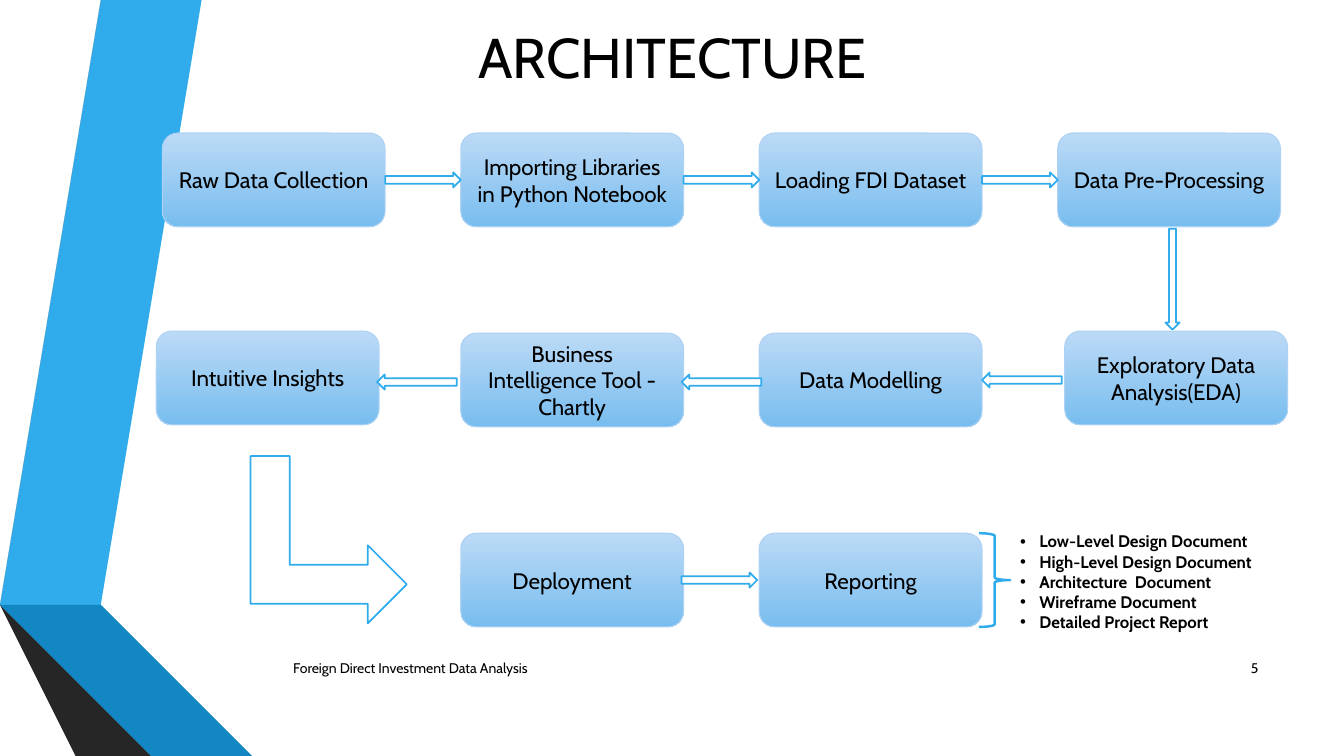
from lxml import etree
from pptx import Presentation
from pptx.dml.color import RGBColor
from pptx.enum.shapes import MSO_SHAPE
from pptx.enum.text import MSO_ANCHOR, PP_ALIGN
from pptx.oxml.ns import qn
from pptx.util import Inches, Pt

BOX, BRACE = MSO_SHAPE.ROUNDED_RECTANGLE, MSO_SHAPE.RIGHT_BRACE
RIGHT, DOWN, BENT = MSO_SHAPE.RIGHT_ARROW, MSO_SHAPE.DOWN_ARROW, MSO_SHAPE.BENT_UP_ARROW
TOP, MIDDLE = MSO_ANCHOR.TOP, MSO_ANCHOR.MIDDLE
START, CENTER, END = PP_ALIGN.LEFT, PP_ALIGN.CENTER, PP_ALIGN.RIGHT
FONT, BLUE, BLACK, WHITE = "Cabin", "30ACEC", "000000", "FFFFFF"

# Content: step text, column, row, nudge in x and y
STEPS = [
    ("Raw Data Collection", 0, 0, 0, 0),
    ("Importing Libraries in Python Notebook", 1, 0, 0, 0),
    ("Loading FDI Dataset", 2, 0, 0, 0),
    ("Data Pre-Processing", 3, 0, 0, 0),
    ("Exploratory Data Analysis(EDA)", 3, 1, 0.07, -0.02),
    ("Data Modelling", 2, 1, 0, 0),
    ("Business Intelligence Tool - Chartly", 1, 1, 0, 0),
    ("Intuitive Insights", 0, 1, -0.06, -0.02),
    ("Deployment", 1, 2, 0, 0),
    ("Reporting", 2, 2, 0, 0),
]
# Arrows between columns: gap, row, nudge in x and y, width, turn
LINKS = [
    (0, 0, 0, 0, 0.75, 0), (1, 0, 0, 0, 0.75, 0), (2, 0, 0, 0, 0.75, 0),
    (2, 1, 0, 0, 0.79, 180), (1, 1, -0.02, 0.02, 0.79, 180),
    (0, 1, -0.08, 0.02, 0.79, 180), (1, 2, -0.02, 0, 0.75, 0),
]
PAPERS = ["Low-Level Design Document", "High-Level Design Document",
          "Architecture  Document", "Wireframe Document", "Detailed Project Report"]
RIBBONS = [
    (BLUE, [(0.5, 5.78), (0.77, 5.83), (1.73, 0), (1.45, 0)]),
    ("595959", [(1.39, 0), (1.11, 0), (0.16, 5.73), (0.44, 5.77)]),
    ("262626", [(0.16, 5.73), (1.45, 7.5), (1.51, 7.5)]),
    ("0C5A82", [(0.5, 5.79), (2.08, 7.5), (2.14, 7.5)]),
    ("1287C3", [(0.5, 5.79), (2.14, 7.5), (2.83, 7.5), (0.77, 5.83), (0.5, 5.78)]),
    ("404040", [(2.02, 7.5), (0.48, 5.83), (0.44, 5.77), (0.16, 5.73), (1.51, 7.5)]),
]

# Grid
LEFT, HEAD, STEP, ROW = 1.61, 1.32, 2.96, 1.985
WIDE, HIGH, THIN = 2.21, 0.93, 0.15

deck = Presentation()
deck.slide_width, deck.slide_height = Inches(13.33), Inches(7.5)
slide = deck.slides.add_slide(deck.slide_layouts[6])
shapes = slide.shapes


def color(code):
    return RGBColor.from_string(code)


def cell(col, row):
    return LEFT + col * STEP, HEAD + row * ROW


def write(shape, lines, size, align, anchor=MIDDLE, bold=False):
    frame = shape.text_frame
    frame.word_wrap = True
    frame.vertical_anchor = anchor
    frame.text = "\n".join(lines)
    for para in frame.paragraphs:
        para.alignment = align
        for run in para.runs:
            font = run.font
            font.name, font.size, font.bold = FONT, Pt(size), bold
            font.color.rgb = color(BLACK)


def label(at, lines, size, align, anchor=MIDDLE, bold=False):
    box = shapes.add_textbox(*map(Inches, at))
    write(box, lines, size, align, anchor, bold)
    return box


def draw(kind, at, line=BLUE, width=1.25, turn=0):
    shape = shapes.add_shape(kind, *map(Inches, at))
    shape.shadow.inherit = False
    shape.line.color.rgb = color(line)
    shape.line.width = Pt(width)
    shape.rotation = turn
    return shape


def arrow(kind, at, turn=0):
    shape = draw(kind, at, turn=turn)
    shape.fill.solid()
    shape.fill.fore_color.rgb = color(WHITE)


# Side ribbons
for code, points in RIBBONS:
    path = shapes.build_freeform(*points[0], scale=Inches(1))
    path.add_line_segments(points[1:], close=True)
    ribbon = path.convert_to_shape()
    ribbon.shadow.inherit = False
    ribbon.fill.solid()
    ribbon.fill.fore_color.rgb = color(code)
    ribbon.line.fill.background()

# Footer and title
label((2.81, 6.43, 7.75, 0.4), ["Foreign Direct Investment Data Analysis"], 10, START)
label((11.98, 6.43, 0.6, 0.4), ["5"], 10, END)
label((2.02, 0.17, 9.3, 0.93), ["ARCHITECTURE"], 40, CENTER, TOP)

# Steps
for text, col, row, dx, dy in STEPS:
    x, y = cell(col, row)
    step = draw(BOX, (x + dx, y + dy, WIDE, HIGH), "AED2F4", 0.75)
    step.fill.gradient()
    step.fill.gradient_angle = 270
    for stop, (place, code) in zip(step.fill.gradient_stops, [(0, "BCDAF6"), (1, "78BDEF")]):
        stop.position = place
        stop.color.rgb = color(code)
    write(step, [text], 16, CENTER)

# Arrows
for gap, row, dx, dy, wide, turn in LINKS:
    x, y = cell(gap, row)
    arrow(RIGHT, (x + WIDE + dx, y + (HIGH - THIN) / 2 + dy, wide, THIN), turn)
arrow(DOWN, (11.56, 2.27, 0.14, 1))
arrow(BENT, (2.43, 4.58, 1.66, 1.55), 90)

# Report documents
x, y = cell(2, 2)
brace = draw(BRACE, (x + WIDE - 0.03, y, 0.31, HIGH), width=1.75)
brace.fill.background()
papers = label((10.02, 5.22, 2.56, 1.11), PAPERS, 12, START, TOP, True)
for para in papers.text_frame.paragraphs:
    props = para._p.get_or_add_pPr()
    props.set("marL", str(Inches(0.19)))
    props.set("indent", str(-Inches(0.19)))
    etree.SubElement(props, qn("a:buFont")).set("typeface", "Arial")
    etree.SubElement(props, qn("a:buChar")).set("char", "•")

deck.save("out.pptx")
